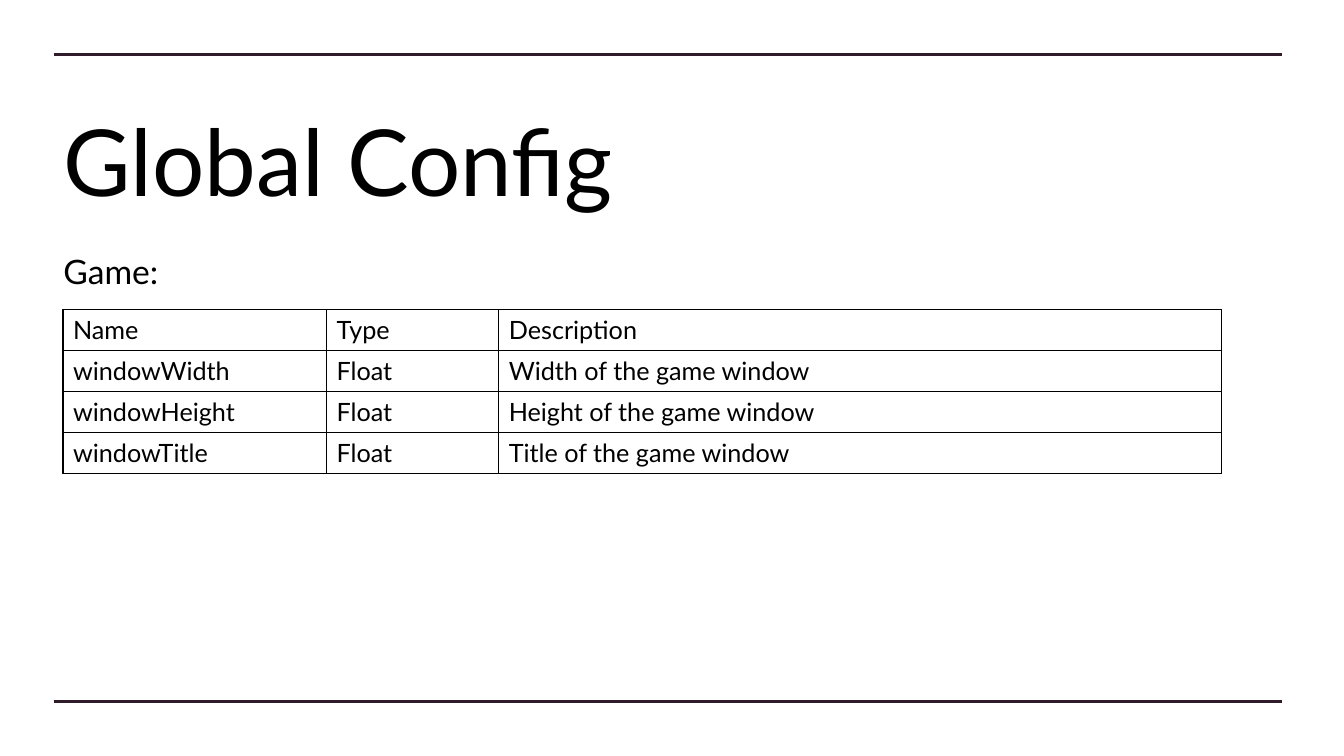
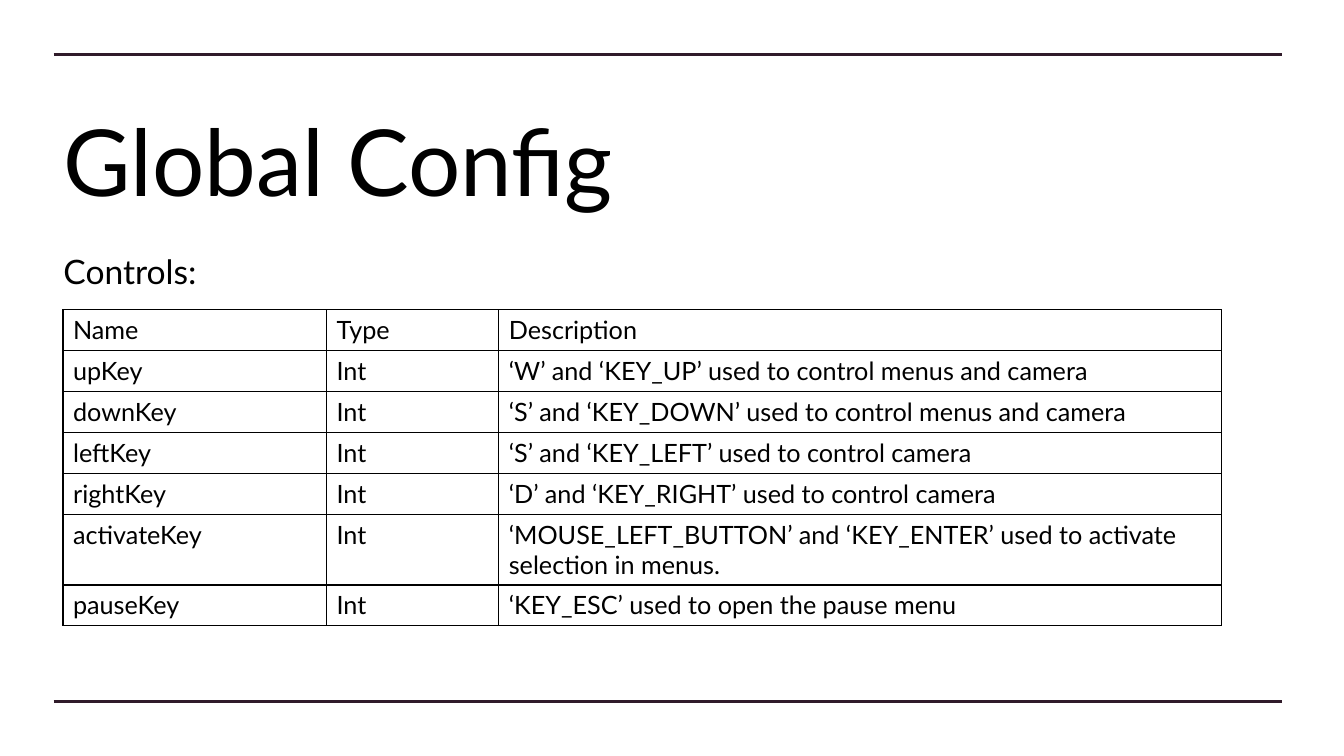
from dataclasses import dataclass

from lxml.etree import SubElement
from pptx import Presentation
from pptx.dml.color import RGBColor
from pptx.enum.shapes import MSO_CONNECTOR as Connector
from pptx.enum.text import MSO_ANCHOR as Anchor
from pptx.oxml.ns import qn
from pptx.slide import Slide
from pptx.table import _Cell as Cell
from pptx.text.text import TextFrame
from pptx.util import Emu, Pt

# Shared style
INK = "000000"
RULE = "301B2A"
FONT = "Lato"
RULE_WIDTH = 2.25
BORDER_WIDTH = 1

# Shared layout, in px
PX = 9525
SLIDE_W, SLIDE_H = 1280, 720
RULE_LEFT, RULE_RIGHT = 51, 1221
RULE_TOPS = (668, 52)
COLUMNS = (251, 164, 688)
TABLE_LEFT, TABLE_TOP = 60, 295
ROW_H = 39


@dataclass(frozen=True)
class TextStyle:
    top: int
    height: int
    size: int
    anchor: Anchor


@dataclass(frozen=True)
class Setting:
    name: str
    kind: str
    description: str


@dataclass(frozen=True)
class ConfigPage:
    section: str
    settings: tuple[Setting, ...]


TITLE = TextStyle(top=77, height=132, size=66, anchor=Anchor.BOTTOM)
SECTION = TextStyle(top=234, height=48, size=24, anchor=Anchor.TOP)
CELL_SIZE = 18

# Content
HEADING = "Global Config"
HEADER = Setting("Name", "Type", "Description")
PAGES = (
    ConfigPage("Game:", (
        Setting("windowWidth", "Float", "Width of the game window"),
        Setting("windowHeight", "Float", "Height of the game window"),
        Setting("windowTitle", "Float", "Title of the game window"),
    )),
    ConfigPage("Controls:", (
        Setting("upKey", "Int", "‘W’ and ‘KEY_UP’ used to control menus and camera"),
        Setting("downKey", "Int", "‘S’ and ‘KEY_DOWN’ used to control menus and camera"),
        Setting("leftKey", "Int", "‘S’ and ‘KEY_LEFT’ used to control camera"),
        Setting("rightKey", "Int", "‘D’ and ‘KEY_RIGHT’ used to control camera"),
        Setting("activateKey", "Int",
                "‘MOUSE_LEFT_BUTTON’ and ‘KEY_ENTER’ used to activate selection in menus."),
        Setting("pauseKey", "Int", "‘KEY_ESC’ used to open the pause menu"),
    )),
)


def px(length: int) -> Emu:
    return Emu(length * PX)


def color(value: str) -> RGBColor:
    return RGBColor.from_string(value)


def write(frame: TextFrame, text: str, size: int) -> None:
    run = frame.paragraphs[0].add_run()
    run.text = text
    for attribute, value in {"name": FONT, "size": Pt(size)}.items():
        setattr(run.font, attribute, value)
    run.font.color.rgb = color(INK)


def add_rule(slide: Slide, top: int) -> None:
    rule = slide.shapes.add_connector(
        Connector.STRAIGHT, px(RULE_LEFT), px(top), px(RULE_RIGHT), px(top))
    rule.line.color.rgb = color(RULE)
    rule.line.width = Pt(RULE_WIDTH)
    SubElement(rule.element.spPr, qn("a:effectLst"))


def add_text(slide: Slide, text: str, style: TextStyle) -> None:
    frame = slide.shapes.add_textbox(
        px(RULE_LEFT), px(style.top), px(sum(COLUMNS)), px(style.height)).text_frame
    for attribute, value in {"word_wrap": True, "vertical_anchor": style.anchor}.items():
        setattr(frame, attribute, value)
    write(frame, text, style.size)


def add_borders(cell: Cell) -> None:
    properties = cell._tc.get_or_add_tcPr()
    for position, side in enumerate(("a:lnL", "a:lnR", "a:lnT", "a:lnB")):
        border = properties.makeelement(qn(side), {"w": str(Pt(BORDER_WIDTH))})
        fill = SubElement(border, qn("a:solidFill"))
        SubElement(fill, qn("a:srgbClr"), val=INK)
        properties.insert(position, border)


def add_settings(slide: Slide, settings: tuple[Setting, ...]) -> None:
    rows = (HEADER, *settings)
    table = slide.shapes.add_table(
        len(rows), len(COLUMNS), px(TABLE_LEFT), px(TABLE_TOP),
        px(sum(COLUMNS)), px(ROW_H * len(rows))).table
    for attribute, value in {"first_row": False, "horz_banding": False}.items():
        setattr(table, attribute, value)
    for column, width in zip(table.columns, COLUMNS):
        column.width = px(width)
    for row, setting in zip(table.rows, rows):
        row.height = px(ROW_H)
        texts = (setting.name, setting.kind, setting.description)
        for cell, text in zip(row.cells, texts):
            cell.fill.background()
            add_borders(cell)
            write(cell.text_frame, text, CELL_SIZE)


def main() -> None:
    deck = Presentation()
    deck.slide_width, deck.slide_height = px(SLIDE_W), px(SLIDE_H)
    blank = deck.slide_layouts[6]
    for page in PAGES:
        slide = deck.slides.add_slide(blank)
        for top in RULE_TOPS:
            add_rule(slide, top)
        add_text(slide, HEADING, TITLE)
        add_text(slide, page.section, SECTION)
        add_settings(slide, page.settings)
    deck.save("out.pptx")


if __name__ == "__main__":
    main()
